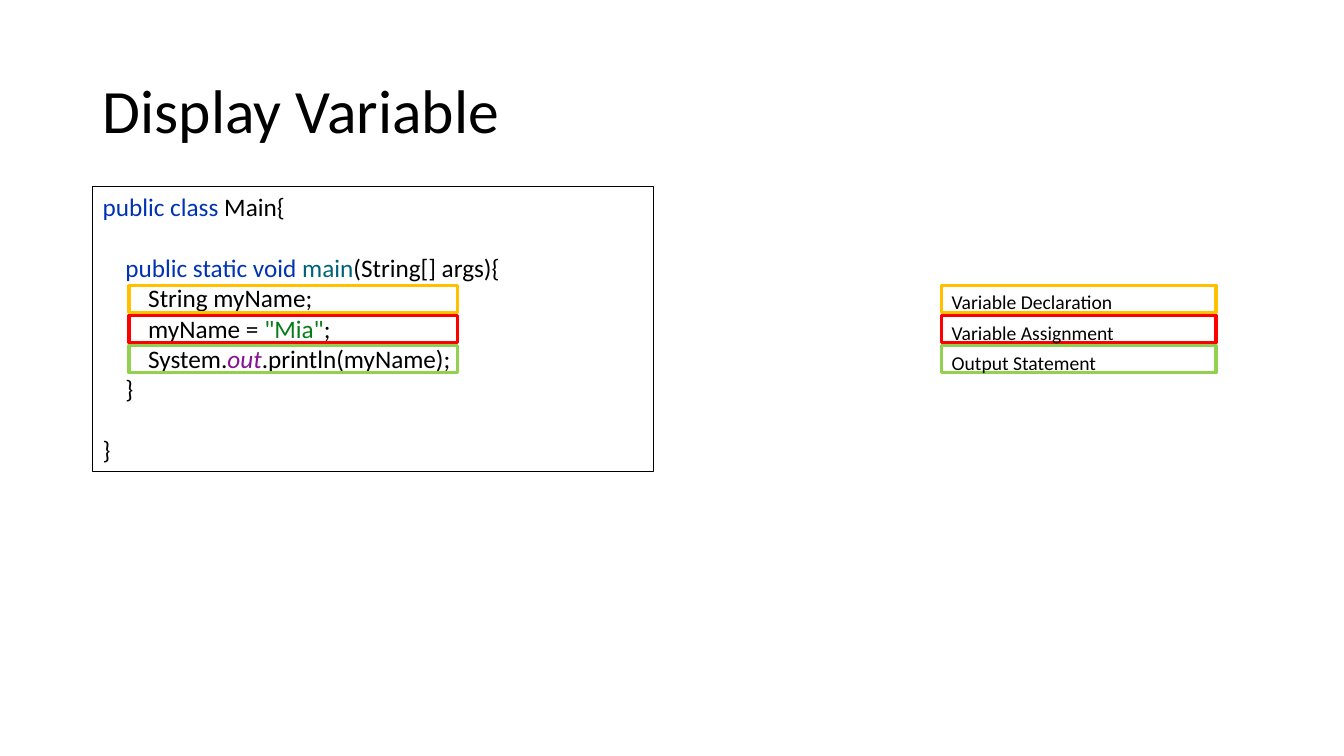
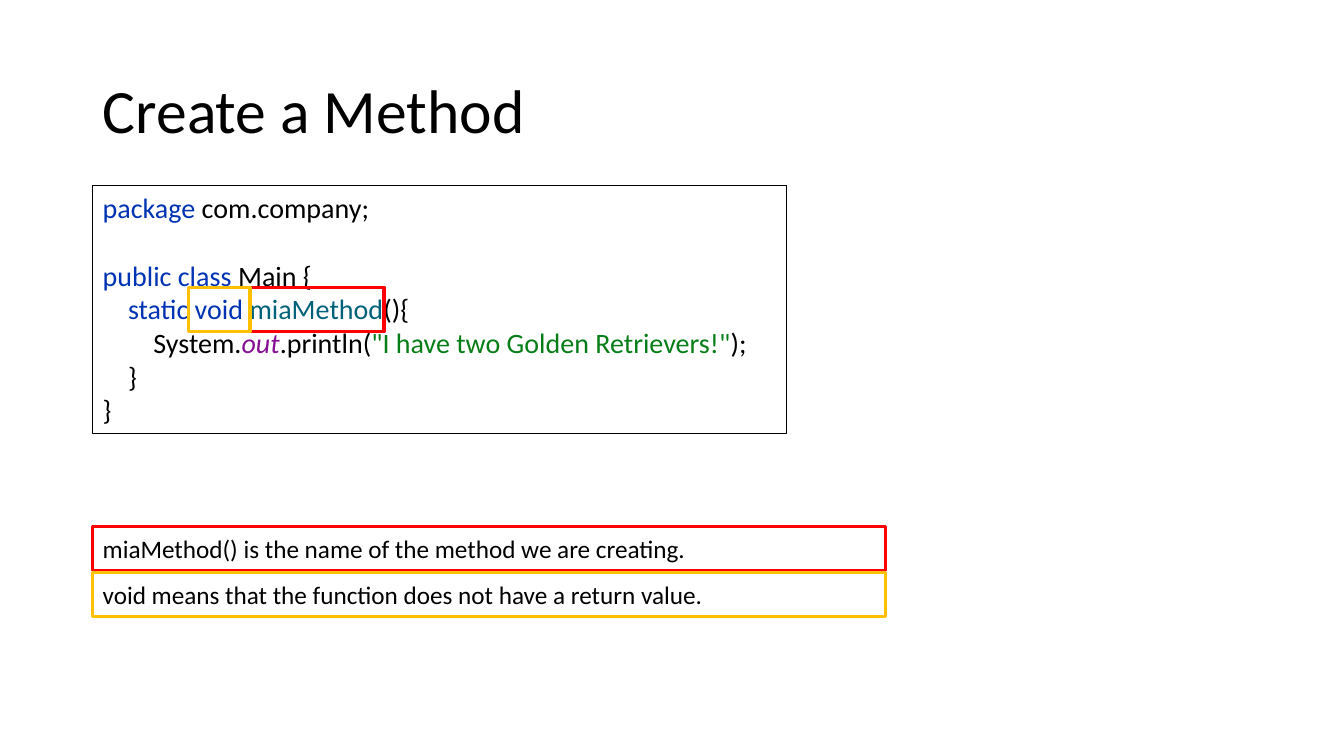
from pptx import Presentation
from pptx.dml.color import RGBColor
from pptx.enum.shapes import MSO_SHAPE
from pptx.enum.text import MSO_ANCHOR, MSO_AUTO_SIZE, PP_ALIGN
from pptx.util import Inches, Pt

FONT = "Calibri"
LEFT = 0.92

BLACK = RGBColor(0x00, 0x00, 0x00)
KEYWORD = RGBColor(0x00, 0x33, 0xB3)
METHOD = RGBColor(0x00, 0x62, 0x7A)
STRING = RGBColor(0x06, 0x7D, 0x17)
FIELD = RGBColor(0x87, 0x10, 0x94)
AMBER = RGBColor(0xFF, 0xC0, 0x00)
RED = RGBColor(0xFF, 0x00, 0x00)
GREEN = RGBColor(0x92, 0xD0, 0x50)


def add_frame(slide, left, top, width, height, color, weight=2.25,
              text="", size=18, anchor=MSO_ANCHOR.MIDDLE):
    """Unfilled outlined rectangle, with an optional left-aligned label."""
    frame = slide.shapes.add_shape(MSO_SHAPE.RECTANGLE, Inches(left), Inches(top),
                                   Inches(width), Inches(height))
    frame.shadow.inherit = False
    frame.fill.background()
    frame.line.color.rgb = color
    frame.line.width = Pt(weight)
    frame.text_frame.vertical_anchor = anchor
    if text:
        label = frame.text_frame.paragraphs[0]
        label.text = text
        label.alignment = PP_ALIGN.LEFT
        label.font.name, label.font.size = FONT, Pt(size)
        label.font.color.rgb = BLACK
    return frame


def add_code(slide, top, width, height, size, lines):
    """Code box; each line is (indent level, gap above in lines, coloured pieces)."""
    body = add_frame(slide, LEFT, top, width, height, BLACK, 0.75,
                     anchor=MSO_ANCHOR.TOP).text_frame
    for number, (level, gap, pieces) in enumerate(lines):
        line = body.add_paragraph() if number else body.paragraphs[0]
        line.alignment = PP_ALIGN.LEFT
        line.space_before = Pt(gap * size * 1.22)
        line.font.name, line.font.size = FONT, Pt(size)
        # One level is as wide as four spaces of the font
        properties = line._p.get_or_add_pPr()
        properties.set("marL", str(Pt(level * size * 0.904)))
        properties.set("indent", "0")
        for text, color in pieces:
            run = line.add_run()
            run.text = text
            run.font.color.rgb = color
            if color == FIELD:
                run.font.italic = True


prs = Presentation()
prs.slide_width, prs.slide_height = Inches(13.33), Inches(7.5)

# Slides with the shared title style
slides = []
for heading in ("Display Variable", "Create a Method"):
    slide = prs.slides.add_slide(prs.slide_layouts[5])
    title = slide.shapes.title
    title.left, title.top = Inches(LEFT), Inches(0.4)
    title.width, title.height = Inches(11.5), Inches(1.45)
    title.text_frame.text = heading
    title.text_frame.auto_size = MSO_AUTO_SIZE.NONE
    title.text_frame.vertical_anchor = MSO_ANCHOR.MIDDLE
    words = title.text_frame.paragraphs[0]
    words.alignment = PP_ALIGN.LEFT
    words.line_spacing = 0.9
    words.font.name, words.font.size = FONT, Pt(44)
    words.font.color.rgb = BLACK
    slides.append(slide)
variable_slide, method_slide = slides

# Display Variable: code
add_code(variable_slide, 1.85, 5.56, 2.83, 18, [
    (0, 0, [("public class ", KEYWORD), ("Main{", BLACK)]),
    (1, 1, [("public static void ", KEYWORD), ("main", METHOD),
            ("(String[] args){", BLACK)]),
    (2, 0, [("String myName;", BLACK)]),
    (2, 0, [("myName = ", BLACK), ('"Mia"', STRING), (";", BLACK)]),
    (2, 0, [("System.", BLACK), ("out", FIELD), (".println(myName);", BLACK)]),
    (1, 0, [("}", BLACK)]),
    (0, 1, [("}", BLACK)]),
])

# Display Variable: highlighted statements and their legend
statements = [("Variable Declaration", AMBER), ("Variable Assignment", RED),
              ("Output Statement", GREEN)]
for row, (meaning, color) in enumerate(statements):
    top = 2.83 + 0.3 * row
    add_frame(variable_slide, 1.28, top, 3.26, 0.27, color)
    add_frame(variable_slide, 9.34, top, 2.72, 0.27, color,
              text=meaning, size=14, anchor=MSO_ANCHOR.TOP)

# Create a Method: code
add_code(method_slide, 1.84, 6.88, 2.46, 20, [
    (0, 0, [("package ", KEYWORD), ("com.company;", BLACK)]),
    (0, 1, [("public class ", KEYWORD), ("Main {", BLACK)]),
    (1, 0, [("static void ", KEYWORD), ("miaMethod", METHOD), ("(){", BLACK)]),
    (2, 0, [("System.", BLACK), ("out", FIELD), (".println(", BLACK),
            ('"I have two Golden Retrievers!"', STRING), (");", BLACK)]),
    (1, 0, [("}", BLACK)]),
    (0, 0, [("}", BLACK)]),
])

# Create a Method: highlighted words and their explanations
explanations = [
    (2.48, 1.33, RED, "miaMethod() is the name of the method we are creating."),
    (1.87, 0.61, AMBER, "void means that the function does not have a return value."),
]
for row, (left, width, color, meaning) in enumerate(explanations):
    add_frame(method_slide, left, 2.85, width, 0.44, color)
    add_frame(method_slide, LEFT, 5.22 + 0.46 * row, 7.86, 0.44, color, text=meaning)

prs.save("out.pptx")
